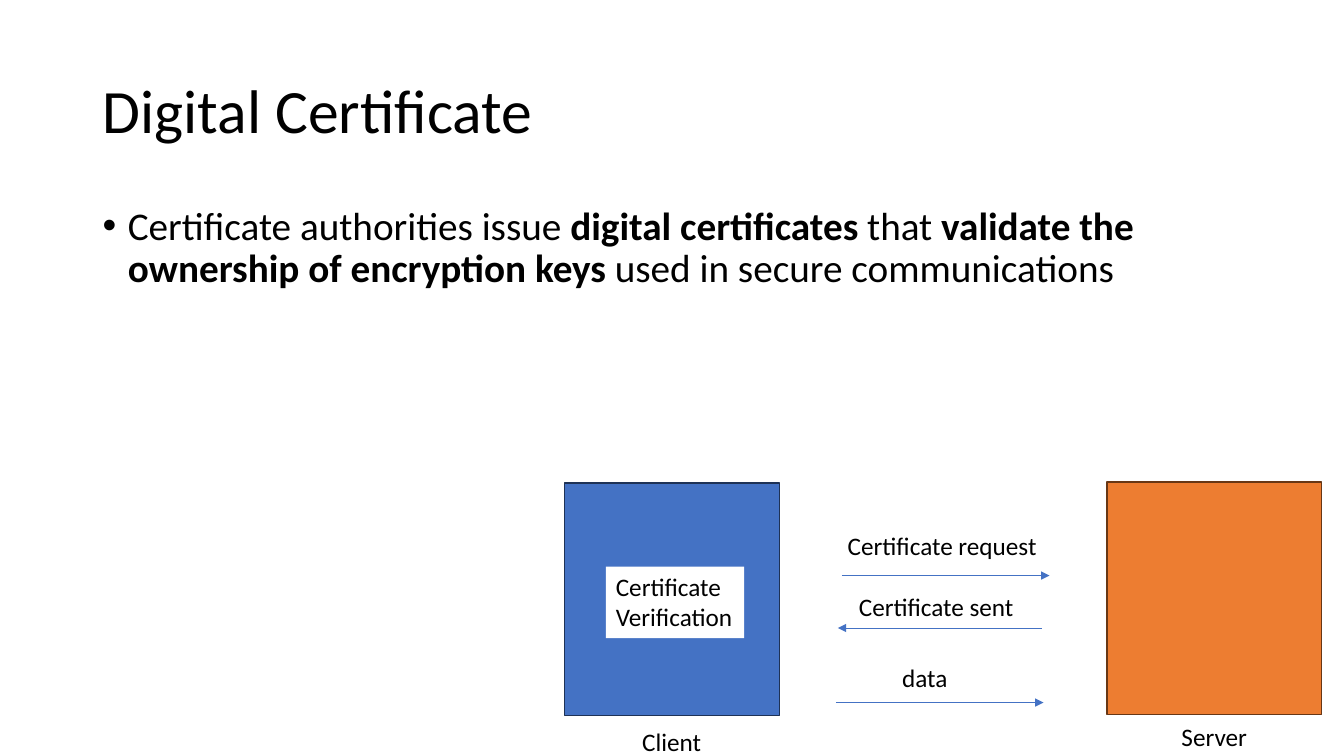
import pptx
import pptx.util
import pptx.dml.color
import pptx.enum.shapes
import pptx.enum.text
import pptx.oxml.ns
import lxml.etree

Inches = pptx.util.Inches
Pt = pptx.util.Pt
RGBColor = pptx.dml.color.RGBColor
ANCHOR = pptx.enum.text.MSO_ANCHOR
ALIGN = pptx.enum.text.PP_ALIGN
RECT = pptx.enum.shapes.MSO_SHAPE.RECTANGLE

BLACK = RGBColor(0x00, 0x00, 0x00)
WHITE = RGBColor(0xFF, 0xFF, 0xFF)
BLUE = RGBColor(0x44, 0x72, 0xC4)
NAVY = RGBColor(0x1E, 0x32, 0x56)
ORANGE = RGBColor(0xED, 0x7D, 0x31)
BROWN = RGBColor(0x68, 0x37, 0x15)

FONT = "Calibri"
POINTS = [
    ("Certificate authorities issue ", False),
    ("digital certificates ", True),
    ("that ", False),
    ("validate the ownership of encryption keys", True),
    (" used in secure communications", False),
]


def add_node(parent, tag, **attrs):
    return lxml.etree.SubElement(parent, pptx.oxml.ns.qn(tag), **attrs)


def style(para, size):
    para.alignment = ALIGN.LEFT
    para.font.name = FONT
    para.font.size = Pt(size)
    para.font.color.rgb = BLACK


def add_title(slide, text, left, top, width, height):
    title = slide.shapes.title
    title.left, title.top = Inches(left), Inches(top)
    title.width, title.height = Inches(width), Inches(height)
    frame = title.text_frame
    frame.text = text
    frame.vertical_anchor = ANCHOR.MIDDLE
    frame.auto_size = pptx.enum.text.MSO_AUTO_SIZE.NONE
    para = frame.paragraphs[0]
    para.line_spacing = 0.9
    style(para, 44)


def add_body(slide, left, top, width, height):
    box = slide.shapes.add_textbox(
        Inches(left), Inches(top), Inches(width), Inches(height))
    box.text_frame.word_wrap = True
    para = box.text_frame.paragraphs[0]
    for text, bold in POINTS:
        run = para.add_run()
        run.text = text
        run.font.bold = bold
    para.line_spacing = 0.9
    para.space_before = Pt(10)
    style(para, 28)
    props = para._p.get_or_add_pPr()
    props.set("marL", str(Inches(0.25)))
    props.set("indent", str(-Inches(0.25)))
    bullet = add_node(props, "a:buFont", typeface="Arial")
    bullet.addnext(add_node(props, "a:buChar", char="•"))
    # Bullet settings come before the default run settings.
    props.append(props.find(pptx.oxml.ns.qn("a:defRPr")))


def add_label(slide, text, left, top, width, height=0.4):
    box = slide.shapes.add_textbox(
        Inches(left), Inches(top), Inches(width), Inches(height))
    box.text_frame.word_wrap = False
    box.text_frame.text = text
    for para in box.text_frame.paragraphs:
        style(para, 18)
    return box


def add_host(slide, left, top, fill, line):
    host = slide.shapes.add_shape(
        RECT, Inches(left), Inches(top), Inches(2.13), Inches(2.31))
    host.shadow.inherit = False
    host.fill.solid()
    host.fill.fore_color.rgb = fill
    host.line.color.rgb = line
    host.line.width = Pt(1)


def add_arrow(slide, start, end, top):
    arrow = slide.shapes.add_connector(
        pptx.enum.shapes.MSO_CONNECTOR.STRAIGHT,
        Inches(start), Inches(top), Inches(end), Inches(top))
    arrow.line.color.rgb = BLUE
    arrow.line.width = Pt(0.5)
    add_node(arrow.line._get_or_add_ln(), "a:tailEnd", type="triangle")
    add_node(arrow._element.spPr, "a:effectLst")


def add_client(slide, left, top):
    add_host(slide, left, top, BLUE, NAVY)
    check = add_label(slide, "Certificate\nVerification",
                      left + 0.41, top + 0.83, 1.37, 0.71)
    check.fill.solid()
    check.fill.fore_color.rgb = WHITE
    add_label(slide, "Client", left + 0.67, top + 2.37, 0.79)


def add_server(slide, left, top):
    add_host(slide, left, top, ORANGE, BROWN)
    add_label(slide, "Server", left + 0.64, top + 2.33, 0.86)


def add_flow(slide, left, top):
    """Draw the three messages that pass between client and server."""
    steps = [
        ("Certificate request", 0.02, 0, 2.1, 0.06, 2.12, 0.5),
        ("Certificate sent", 0.13, 0.61, 1.76, 2.04, 0.02, 1.02),
        ("data", 0.56, 1.31, 0.66, 0, 2.06, 1.76),
    ]
    for text, x, y, width, start, end, level in steps:
        add_label(slide, text, left + x, top + y, width)
        add_arrow(slide, left + start, left + end, top + level)


def main():
    deck = pptx.Presentation()
    deck.slide_width = Inches(13.33)
    deck.slide_height = Inches(7.5)
    slide = deck.slides.add_slide(deck.slide_layouts[5])
    add_title(slide, "Digital Certificate", 0.92, 0.4, 11.5, 1.45)
    add_body(slide, 0.92, 2, 11.5, 4.76)
    add_client(slide, 5.6, 4.79)
    add_server(slide, 10.98, 4.78)
    add_flow(slide, 8.29, 5.21)
    deck.save("out.pptx")


if __name__ == "__main__":
    main()
